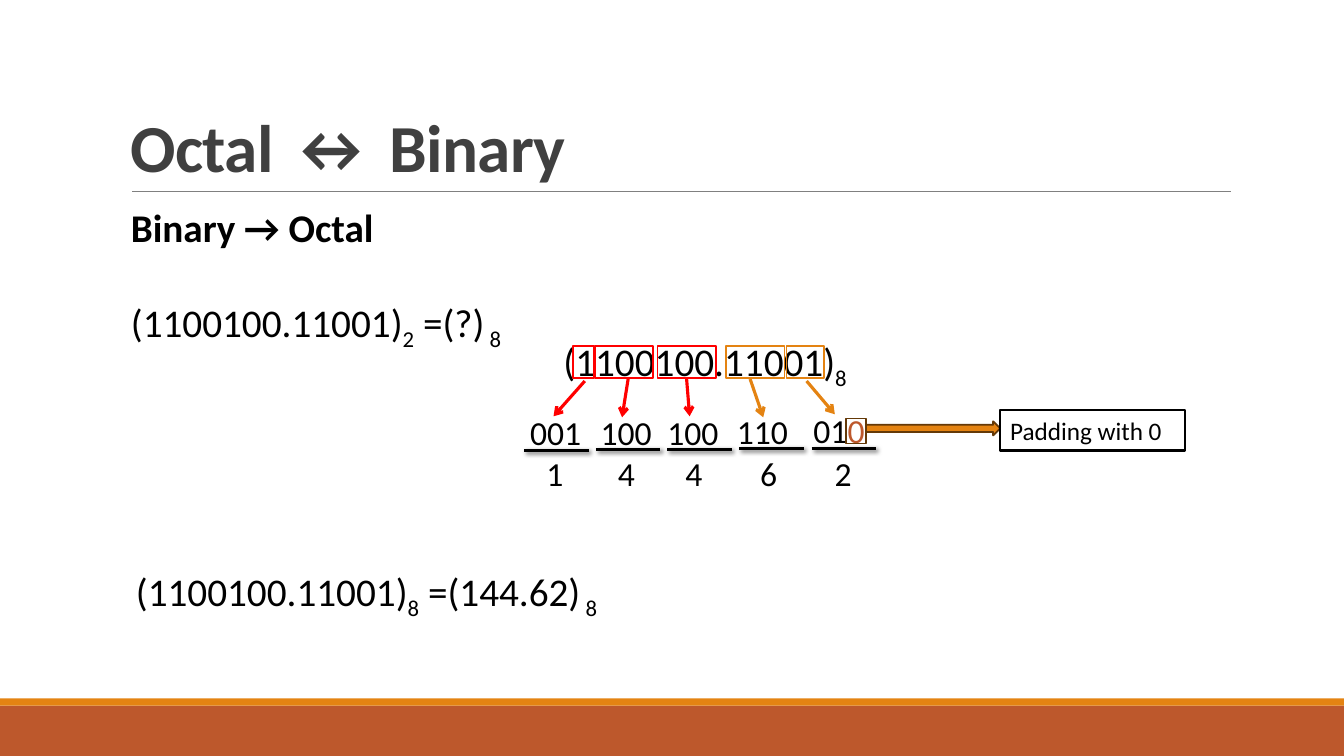
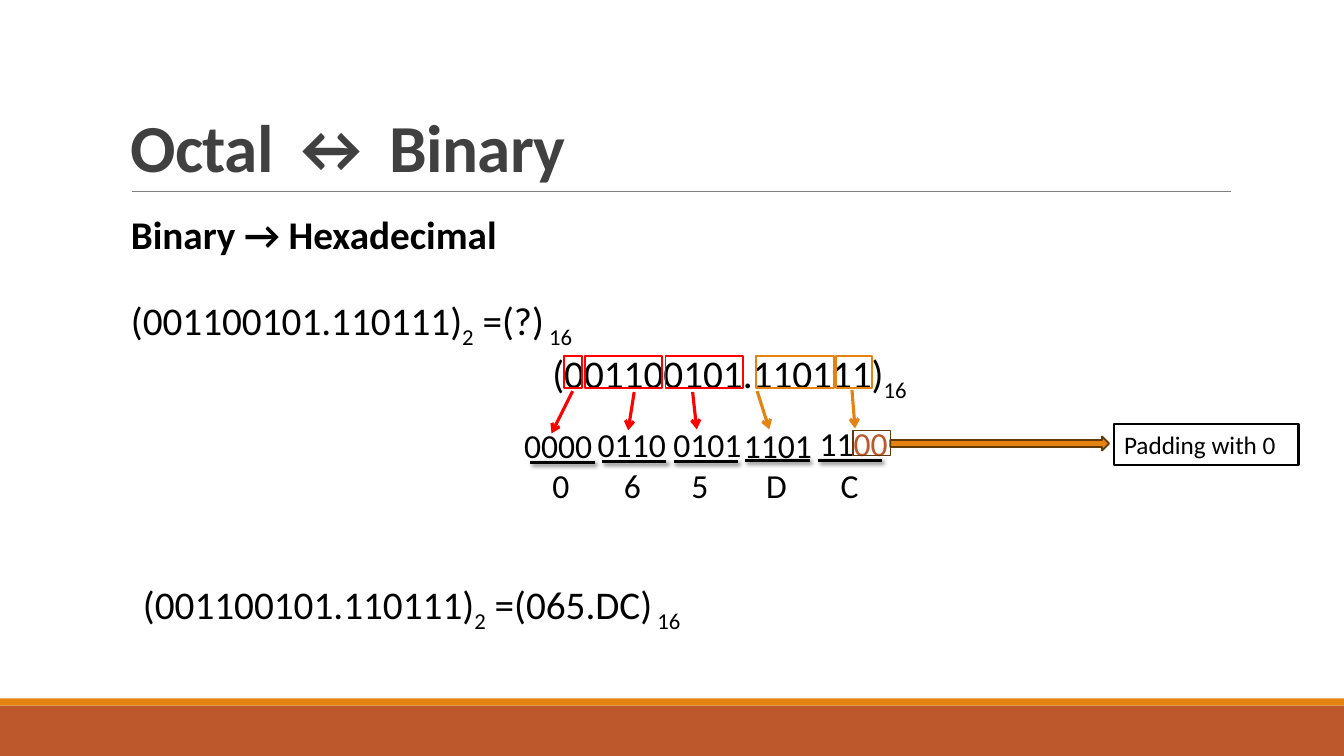
"""Build two slides that convert binary numbers to octal and hexadecimal."""
from dataclasses import dataclass
from typing import NamedTuple, Optional

from lxml.etree import SubElement
from pptx import Presentation
from pptx.dml.color import RGBColor
from pptx.enum.shapes import MSO_CONNECTOR, MSO_SHAPE
from pptx.enum.text import MSO_ANCHOR, MSO_AUTO_SIZE
from pptx.oxml.ns import qn
from pptx.util import Emu, Pt

EMU_PER_PX = 9144
SLIDE_WIDTH, SLIDE_HEIGHT = 1333, 750
FONT = "Calibri"

BLACK = RGBColor(0x00, 0x00, 0x00)
CHARCOAL = RGBColor(0x40, 0x40, 0x40)
GRAY = RGBColor(0x80, 0x80, 0x80)
RUST = RGBColor(0xBD, 0x58, 0x2C)
ORANGE = RGBColor(0xE4, 0x83, 0x12)
BROWN = RGBColor(0x64, 0x39, 0x08)
RED = RGBColor(0xFF, 0x00, 0x00)

TITLE = {"size": Pt(48), "bold": True}
HEADING = {"size": Pt(28), "bold": True}
FORMULA = {"size": Pt(28)}
DIGITS = {"size": Pt(24)}
LABEL = {"size": Pt(18)}

GROUP_COLORS = (RED, RED, RED, ORANGE, ORANGE)
RESULT_OFFSETS = (12, 83, 150, 224, 298)
UNDERLINE_WIDTH = 64


class Box(NamedTuple):
    left: int
    top: int
    width: int
    height: int


class Segment(NamedTuple):
    start_x: int
    start_y: int
    end_x: int
    end_y: int


class Span(NamedTuple):
    text: str
    color: RGBColor = BLACK
    attributes: tuple = ()


class Group(NamedTuple):
    bits: str
    padding: str
    box: Box
    frame_left: int
    frame_width: int
    arrow: Segment
    result: str


@dataclass(frozen=True)
class Conversion:
    heading: str
    heading_box: Box
    number: str
    base: str
    question_box: Box
    working_base: str
    working_box: Box
    answer: str
    answer_from: str
    answer_box: Box
    frame_top: int
    groups: tuple
    underline_left: int
    underline_top: int
    padding_frame: Box
    padding_arrow: Box
    padding_label: Box


CONVERSIONS = (
    Conversion(
        heading="Binary → Octal", heading_box=Box(120, 197, 280, 57),
        number="(1100100.11001)", base=" 8", question_box=Box(120, 291, 401, 57),
        working_base="8", working_box=Box(549, 330, 346, 57),
        answer=" =(144.62)", answer_from="8", answer_box=Box(125, 558, 657, 57),
        frame_top=343,
        groups=(
            Group("001", "", Box(516, 404, 76, 50), 568, 21, Segment(580, 378, 549, 413), "1"),
            Group("100", "", Box(586, 404, 76, 50), 590, 58, Segment(623, 376, 617, 414), "4"),
            Group("100", "", Box(652, 404, 76, 50), 652, 58, Segment(681, 376, 684, 413), "4"),
            Group("110", "", Box(721, 403, 76, 50), 720, 58, Segment(744, 376, 757, 414), "6"),
            Group("01", "0", Box(797, 402, 76, 50), 780, 37, Segment(800, 378, 828, 411), "2"),
        ),
        underline_left=520, underline_top=447,
        padding_frame=Box(839, 415, 20, 25), padding_arrow=Box(859, 418, 133, 14),
        padding_label=Box(992, 407, 183, 40),
    ),
    Conversion(
        heading="Binary → Hexadecimal", heading_box=Box(120, 204, 421, 57),
        number="(001100101.110111)", base=" 16", question_box=Box(120, 289, 472, 57),
        working_base="16", working_box=Box(538, 342, 392, 57),
        answer=" =(065.DC)", answer_from="2", answer_box=Box(132, 571, 657, 57),
        frame_top=353,
        groups=(
            Group("0000", "", Box(510, 417, 89, 50), 559, 18, Segment(568, 388, 547, 430), "0"),
            Group("0110", "", Box(583, 416, 89, 50), 580, 77, Segment(629, 389, 623, 427), "6"),
            Group("0101", "", Box(658, 416, 89, 50), 660, 77, Segment(687, 389, 691, 426), "5"),
            Group("1101", "", Box(728, 417, 89, 50), 750, 77, Segment(751, 388, 763, 426), "D"),
            Group("11", "00", Box(803, 415, 93, 50), 829, 36, Segment(845, 387, 848, 425), "C"),
        ),
        underline_left=526, underline_top=459,
        padding_frame=Box(846, 427, 37, 25), padding_arrow=Box(883, 433, 217, 14),
        padding_label=Box(1105, 421, 183, 40),
    ),
)


def px(length: int) -> Emu:
    """Turn px into EMU."""
    return Emu(length * EMU_PER_PX)


def subscript(text: str) -> Span:
    """Return a lowered span."""
    return Span(text, attributes=(("baseline", "-25000"),))


def add_text(page, box: Box, spans: tuple, style: dict):
    """Add one paragraph of styled spans that grows with its text."""
    shape = page.shapes.add_textbox(*map(px, box))
    frame = shape.text_frame
    frame.word_wrap = True
    frame.auto_size = MSO_AUTO_SIZE.SHAPE_TO_FIT_TEXT
    para = frame.paragraphs[0]
    for span in spans:
        run = para.add_run()
        run.text = span.text
        for name, value in {"name": FONT, **style}.items():
            setattr(run.font, name, value)
        run.font.color.rgb = span.color
        for name, value in span.attributes:
            run.font._element.set(name, value)
    return shape


def add_block(page, box: Box, fill: Optional[RGBColor] = None,
              outline: Optional[RGBColor] = None, weight: float = 1.25,
              preset: MSO_SHAPE = MSO_SHAPE.RECTANGLE) -> None:
    """Add a preset shape with an optional fill and outline."""
    shape = page.shapes.add_shape(preset, *map(px, box))
    shape.shadow.inherit = False
    if fill is None:
        shape.fill.background()
    else:
        shape.fill.solid()
        shape.fill.fore_color.rgb = fill
    if outline is None:
        shape.line.fill.background()
    else:
        shape.line.color.rgb = outline
        shape.line.width = Pt(weight)


def add_line(page, segment: Segment, color: RGBColor, weight: float,
             arrow: bool = False, shadow: bool = False) -> None:
    """Add a straight line with an optional arrowhead or shadow."""
    line = page.shapes.add_connector(MSO_CONNECTOR.STRAIGHT, *map(px, segment))
    line.line.color.rgb = color
    line.line.width = Pt(weight)
    if arrow:
        SubElement(line.line._get_or_add_ln(), qn("a:tailEnd"), type="arrow")
    effects = SubElement(line._element.spPr, qn("a:effectLst"))
    if shadow:
        outer = SubElement(effects, qn("a:outerShdw"), blurRad=str(Pt(3)),
                           dist=str(Pt(2)), dir="2700000", rotWithShape="0")
        tint = SubElement(outer, qn("a:srgbClr"), val=str(BLACK))
        SubElement(tint, qn("a:alpha"), val="60000")


def add_page(deck):
    """Add a page with the shared bands, rule and title."""
    page = deck.slides.add_slide(deck.slide_layouts[6])
    add_block(page, Box(0, 700, SLIDE_WIDTH, 50), RUST)
    add_block(page, Box(0, 693, SLIDE_WIDTH, 7), ORANGE)
    add_line(page, Segment(131, 190, 1221, 190), GRAY, 0.5)
    title = Span("Octal ↔ Binary", CHARCOAL, (("spc", "-50"),))
    frame = add_text(page, Box(120, 31, 1100, 159), (title,), TITLE).text_frame
    frame.auto_size = MSO_AUTO_SIZE.NONE
    frame.vertical_anchor = MSO_ANCHOR.BOTTOM
    frame.paragraphs[0].line_spacing = 0.85
    return page


def draw_groups(page, conversion: Conversion) -> None:
    """Draw each group of bits with its frame, arrow, underline and result."""
    for index, (group, color) in enumerate(zip(conversion.groups, GROUP_COLORS)):
        spans = (Span(group.bits), Span(group.padding, RUST))
        add_text(page, group.box, tuple(span for span in spans if span.text), DIGITS)
        add_block(page, Box(group.frame_left, conversion.frame_top, group.frame_width, 32),
                  outline=color)
        add_line(page, group.arrow, color, 2.25, arrow=True)
        left = conversion.underline_left + index * 285 // 4
        top = conversion.underline_top - (index + 1) // 2
        add_line(page, Segment(left, top, left + UNDERLINE_WIDTH, top), BLACK, 2, shadow=True)
        result_box = Box(conversion.underline_left + RESULT_OFFSETS[index],
                         conversion.underline_top - 3, 34, 50)
        add_text(page, result_box, (Span(group.result),), DIGITS)


def draw_conversion(deck, conversion: Conversion) -> None:
    """Draw one worked conversion on its own page."""
    page = add_page(deck)
    number, base = Span(conversion.number), subscript(conversion.base)
    add_text(page, conversion.heading_box, (Span(conversion.heading),), HEADING)
    add_text(page, conversion.question_box,
             (number, subscript("2"), Span(" =(?)"), base), FORMULA)
    add_text(page, conversion.working_box,
             (number, subscript(conversion.working_base)), FORMULA)
    add_text(page, conversion.answer_box,
             (number, subscript(conversion.answer_from), Span(conversion.answer), base), FORMULA)
    draw_groups(page, conversion)
    add_block(page, conversion.padding_frame, outline=BROWN, weight=1)
    add_block(page, conversion.padding_arrow, ORANGE, BROWN, preset=MSO_SHAPE.RIGHT_ARROW)
    label = add_text(page, conversion.padding_label, (Span("Padding with 0"),), LABEL)
    label.line.color.rgb = BLACK
    label.line.width = Pt(1.5)


def main() -> None:
    """Build and save the deck."""
    deck = Presentation()
    deck.slide_width, deck.slide_height = px(SLIDE_WIDTH), px(SLIDE_HEIGHT)
    for conversion in CONVERSIONS:
        draw_conversion(deck, conversion)
    deck.save("out.pptx")


if __name__ == "__main__":
    main()
